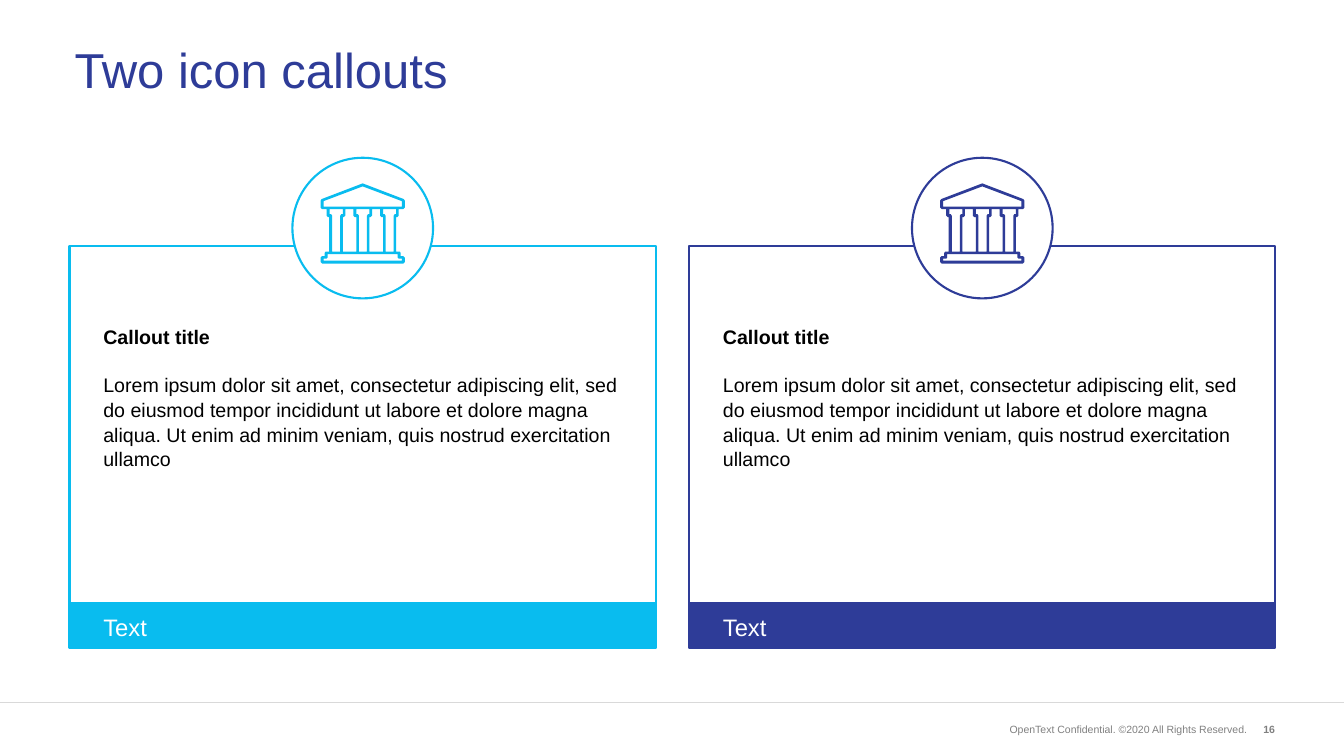
from dataclasses import dataclass

from lxml import etree
from pptx import Presentation
from pptx.dml.color import RGBColor
from pptx.enum.shapes import MSO_CONNECTOR, MSO_SHAPE
from pptx.enum.text import MSO_ANCHOR, PP_ALIGN
from pptx.oxml.ns import qn
from pptx.util import Inches, Pt

RECT, OVAL = MSO_SHAPE.RECTANGLE, MSO_SHAPE.OVAL
STRAIGHT = MSO_CONNECTOR.STRAIGHT
TOP, MIDDLE = MSO_ANCHOR.TOP, MSO_ANCHOR.MIDDLE
LEFT, RIGHT = PP_ALIGN.LEFT, PP_ALIGN.RIGHT


@dataclass(frozen=True)
class Theme:
    font: str = "Arial"
    navy: str = "2E3C98"
    cyan: str = "09BCEF"
    white: str = "FFFFFF"
    black: str = "000000"
    grey: str = "808080"
    rule: str = "D9D9D9"
    title: int = 70
    band: int = 34
    body: int = 28
    footer: int = 15
    outline: int = 3
    spacing: float = 1.05


THEME = Theme()
SLIDE_W, SLIDE_H = 26.66, 15
MARGIN, CARD_W, CARD_GAP = 1.38, 11.63, 0.66
CARD_TOP, CARD_H = 4.88, 7.22
BAND_TOP, BAND_H = 11.96, 0.89
CIRCLE_TOP, CIRCLE_D = 3.13, 2.79
ICON_DX, ICON_DY, ICON_W = 0.56, 0.51, 167  # icon drawn in hundredths of an inch
BODY = ("Lorem ipsum dolor sit amet, consectetur adipiscing elit, sed do eiusmod "
        "tempor incididunt ut labore et dolore magna aliqua. Ut enim ad minim "
        "veniam, quis nostrud exercitation ullamco")


def rgb(value):
    return RGBColor.from_string(value)


def style_text(p, size, color, bold=False, align=LEFT):
    p.alignment = align
    p.font.name, p.font.size, p.font.bold = THEME.font, Pt(size), bold
    p.font.color.rgb = rgb(color)


def set_insets(tf, left, top, right, bottom):
    tf.margin_left, tf.margin_top = Inches(left), Inches(top)
    tf.margin_right, tf.margin_bottom = Inches(right), Inches(bottom)


def add_box(slide, kind, x, y, w, h, fill, line):
    sp = slide.shapes.add_shape(kind, Inches(x), Inches(y), Inches(w), Inches(h))
    sp.shadow.inherit = False
    sp.fill.solid()
    sp.fill.fore_color.rgb = rgb(fill)
    sp.line.color.rgb = rgb(line)
    sp.line.width = Pt(THEME.outline)
    return sp


def mirrored(half):
    """Close a symmetric outline from its right half, listed top to bottom."""
    return half + [(ICON_W - x, y) for x, y in reversed(half)]


def building_contours():
    outline = mirrored([
        (84, 0), (165, 31), (167, 34), (167, 48), (164, 51), (155, 51), (155, 64),
        (152, 67), (150, 67), (150, 135), (157, 135), (159, 138), (159, 144),
        (164, 144), (167, 147), (167, 156), (164, 159)])
    roof = mirrored([(84, 6), (161, 35), (161, 46)])
    base = mirrored([(153, 140), (153, 147), (155, 149), (161, 149), (161, 153)])
    pitch, lefts = 53, [18, 71, 124]
    columns = [[(x, 51), (x + 26, 51), (x + 26, 61), (x + 23, 61), (x + 21, 64),
                (x + 21, 135), (x + 5, 135), (x + 5, 64), (x + 3, 61), (x, 61)]
               for x in lefts]
    gaps = [[(x + 31, 51), (x + 47, 51), (x + 47, 64), (x + 50, 67), (x + pitch, 67),
             (x + pitch, 135), (x + 26, 135), (x + 26, 67), (x + 28, 67), (x + 31, 64)]
            for x in lefts[:-1]]
    return [outline, roof, base, *columns, *gaps]


def add_building(slide, x, y, color):
    first, *holes = building_contours()
    builder = slide.shapes.build_freeform(*first[0], scale=Inches(0.01))
    builder.add_line_segments(first[1:], close=True)
    for hole in holes:
        builder.move_to(*hole[0])
        builder.add_line_segments(hole[1:], close=True)
    sp = builder.convert_to_shape(Inches(x), Inches(y))
    sp.shadow.inherit = False
    sp.fill.solid()
    sp.fill.fore_color.rgb = rgb(color)
    sp.line.fill.background()


def add_callout(slide, x, color):
    # Card with heading and body
    tf = add_box(slide, RECT, x, CARD_TOP, CARD_W, CARD_H, THEME.white, color).text_frame
    tf.word_wrap, tf.vertical_anchor = True, TOP
    set_insets(tf, 0.67, 1.54, 0.67, 0.05)
    heading, body = tf.paragraphs[0], tf.add_paragraph()
    heading.text, body.text = "Callout title", BODY
    for p, bold in ((heading, True), (body, False)):
        p.line_spacing = THEME.spacing
        style_text(p, THEME.body, THEME.black, bold)
    body.space_before = Pt(34)

    # Band along the bottom
    tf = add_box(slide, RECT, x, BAND_TOP, CARD_W, BAND_H, color, color).text_frame
    tf.word_wrap, tf.vertical_anchor = True, TOP
    set_insets(tf, 0.67, 0.16, 0.1, 0.16)
    p = tf.paragraphs[0]
    p.text, p.line_spacing = "Text", THEME.spacing
    style_text(p, THEME.band, THEME.white)

    # Icon in a circle on the top edge
    circle_x = x + (CARD_W - CIRCLE_D) / 2
    add_box(slide, OVAL, circle_x, CIRCLE_TOP, CIRCLE_D, CIRCLE_D, THEME.white, color)
    add_building(slide, circle_x + ICON_DX, CIRCLE_TOP + ICON_DY, color)


def add_title(slide, text):
    sp = slide.shapes.title
    sp.left, sp.top = Inches(MARGIN), Inches(0.38)
    sp.width, sp.height = Inches(23.91), Inches(2.12)
    sp.text_frame.vertical_anchor = MIDDLE
    p = sp.text_frame.paragraphs[0]
    p.text, p.line_spacing = text, 0.9
    style_text(p, THEME.title, THEME.navy)


def add_footer_text(slide, x, w, text, bold=False):
    sp = slide.shapes.add_textbox(Inches(x), Inches(14.3), Inches(w), Inches(0.35))
    tf = sp.text_frame
    tf.word_wrap, tf.vertical_anchor = True, MIDDLE
    p = tf.paragraphs[0]
    p.text = text
    style_text(p, THEME.footer, THEME.grey, bold, RIGHT)


def add_rule(slide, y):
    line = slide.shapes.add_connector(
        STRAIGHT, Inches(0), Inches(y), Inches(SLIDE_W), Inches(y))
    line.line.color.rgb = rgb(THEME.rule)
    line.line.width = Pt(1)
    etree.SubElement(line._element.spPr, qn("a:effectLst"))


def main():
    prs = Presentation()
    prs.slide_width, prs.slide_height = Inches(SLIDE_W), Inches(SLIDE_H)
    slide = prs.slides.add_slide(prs.slide_layouts[5])

    # Footer
    add_rule(slide, 13.94)
    add_footer_text(slide, 19.47, 5.37,
                    "OpenText Confidential. ©2020 All Rights Reserved.")
    add_footer_text(slide, 24.68, 0.71, "16", bold=True)

    # Title and callouts
    add_title(slide, "Two icon callouts")
    for i, color in enumerate((THEME.cyan, THEME.navy)):
        add_callout(slide, MARGIN + i * (CARD_W + CARD_GAP), color)

    prs.save("out.pptx")


if __name__ == "__main__":
    main()
